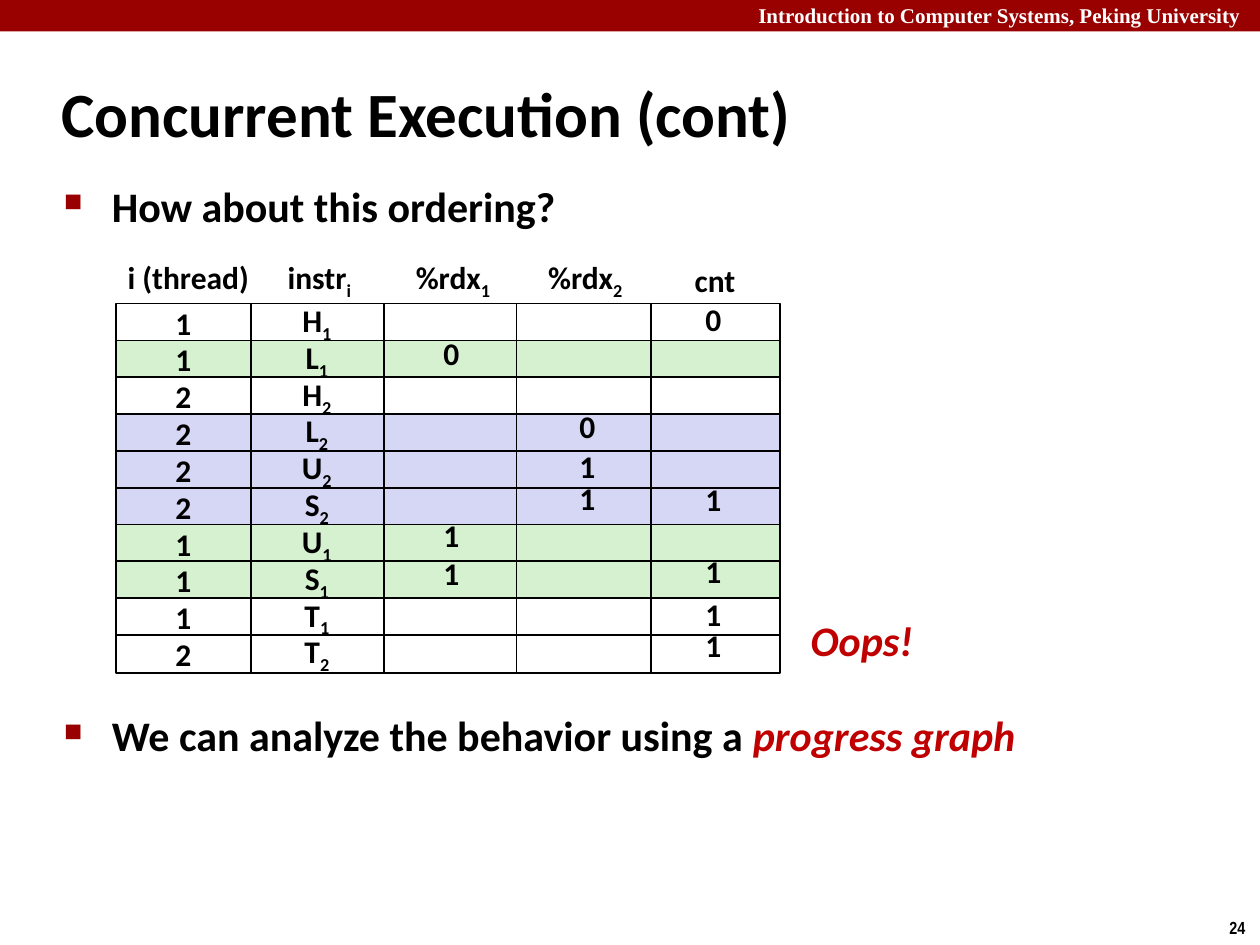
from typing import NamedTuple

import pptx
import pptx.dml.color
import pptx.enum.shapes
import pptx.enum.text
import pptx.oxml
import pptx.oxml.ns
import pptx.util
from pptx.util import Inches

ANCHOR = pptx.enum.text.MSO_ANCHOR
ALIGN = pptx.enum.text.PP_ALIGN
RECTANGLE = pptx.enum.shapes.MSO_SHAPE.RECTANGLE
NS = pptx.oxml.ns.nsdecls("a")
BLACK, WHITE, MAROON, RED = "000000", "FFFFFF", "990000", "C00000"
GREEN, LILAC = "D5F1CF", "D6D6F5"


class Step(NamedTuple):
    thread: str
    instr: str
    fill: str = WHITE


class Label(NamedTuple):
    text: str
    left: float
    top: float
    width: float


STEPS = [
    Step("1", "H_1"),
    Step("1", "L_1", GREEN),
    Step("2", "H_2"),
    Step("2", "L_2", LILAC),
    Step("2", "U_2", LILAC),
    Step("2", "S_2", LILAC),
    Step("1", "U_1", GREEN),
    Step("1", "S_1", GREEN),
    Step("1", "T_1"),
    Step("2", "T_2"),
]
COLUMNS = {"instr": 1.98, "thread": 0.92, "rdx1": 3.05, "cnt": 5.12, "rdx2": 4.1}
GRID_TOP, ROW_PITCH = 2.41, 2.63 / 9
CELL_WIDTH, CELL_HEIGHT = 1.07, 0.3
HEADERS = [
    Label("i (thread)", 0.91, 2, 1.17),
    Label("instr_i", 2.18, 2.02, 0.71),
    Label("%rdx_1", 3.19, 2.02, 0.81),
    Label("%rdx_2", 4.24, 2.02, 0.81),
    Label("cnt", 5.41, 2.02, 0.53),
]
VALUES = {
    3.42: [("0", 2.6), ("1", 4.05), ("1", 4.35)],
    4.5: [("0", 3.18), ("1", 3.5), ("1", 3.75)],
    5.5: [("0", 2.33), ("1", 3.76), ("1", 4.33), ("1", 4.67), ("1", 4.92)],
}


def rgb(color: str) -> pptx.dml.color.RGBColor:
    return pptx.dml.color.RGBColor.from_string(color)


def write(p, text: str, *, size: float = 18, color: str = BLACK, font: str = "Calibri",
          italic: bool = False, align=None) -> None:
    if align is not None:
        p.alignment = align
    for i, part in enumerate(text.split("_")):
        r = p.add_run()
        r.text = part
        r.font.name = font
        r.font.size = pptx.util.Pt(size)
        r.font.bold = True
        r.font.italic = italic
        r.font.color.rgb = rgb(color)
        if i:
            r.font._element.set("baseline", "-25000")


def add_box(s, left: float, top: float, width: float, height: float,
            wrap: bool = True, anchor=ANCHOR.TOP):
    tf = s.shapes.add_textbox(Inches(left), Inches(top), Inches(width), Inches(height)).text_frame
    tf.word_wrap = wrap
    tf.vertical_anchor = anchor
    return tf


def add_rect(s, left: float, top: float, width: float, height: float, fill: str,
             line: str | None = None):
    sp = s.shapes.add_shape(RECTANGLE, Inches(left), Inches(top), Inches(width), Inches(height))
    sp.shadow.inherit = False
    sp.fill.solid()
    sp.fill.fore_color.rgb = rgb(fill)
    if line:
        sp.line.color.rgb = rgb(line)
        sp.line.width = pptx.util.Pt(1)
    else:
        sp.line.fill.background()
    return sp


def add_bullet(p) -> None:
    pPr = p._p.get_or_add_pPr()
    pPr.set("marL", str(Inches(0.38)))
    pPr.set("indent", str(-Inches(0.38)))
    for xml in (f'<a:buClr {NS}><a:srgbClr val="{MAROON}"/></a:buClr>',
                f'<a:buSzPct {NS} val="60000"/>',
                f'<a:buFont {NS} typeface="Wingdings" pitchFamily="2" charset="2"/>',
                f'<a:buChar {NS} char="n"/>'):
        pPr.append(pptx.oxml.parse_xml(xml))


def add_grid(s) -> None:
    for column, left in COLUMNS.items():
        for i, step in enumerate(STEPS):
            cell = add_rect(s, left, GRID_TOP + i * ROW_PITCH, CELL_WIDTH, CELL_HEIGHT,
                            step.fill, BLACK)
            text = step._asdict().get(column)
            if text:
                cell.text_frame.vertical_anchor = ANCHOR.MIDDLE
                write(cell.text_frame.paragraphs[0], text, align=ALIGN.CENTER)


prs = pptx.Presentation()
prs.slide_width, prs.slide_height = Inches(10), Inches(7.5)
s = prs.slides.add_slide(prs.slide_layouts[6])

add_rect(s, 0, 0, 10, 0.25, MAROON)
course = add_box(s, 5.92, -0.03, 4.15, 0.3)
write(course.paragraphs[0], "Introduction to Computer Systems, Peking University",
      size=12, color=WHITE, font="Times New Roman")

number = add_box(s, 9.66, 7.23, 0.34, 0.27, wrap=False)
write(number.paragraphs[0], "24", size=10, font="Arial Narrow")

title = add_box(s, 0.39, 0.48, 8.3, 0.83, anchor=ANCHOR.MIDDLE)
write(title.paragraphs[0], "Concurrent Execution (cont)", size=36)

body = add_box(s, 0.41, 1.38, 8.64, 5.44)
question = body.paragraphs[0]
add_bullet(question)
write(question, "How about this ordering?", size=24)
analysis = body.add_paragraph()
analysis.space_before = pptx.util.Pt(274)
add_bullet(analysis)
write(analysis, "We can analyze the behavior using a ", size=24)
write(analysis, "progress graph", size=24, color=RED, italic=True)

add_grid(s)
for header in HEADERS:
    tf = add_box(s, header.left, header.top, header.width, 0.4, wrap=False, anchor=ANCHOR.MIDDLE)
    write(tf.paragraphs[0], header.text, align=ALIGN.CENTER)
for left, entries in VALUES.items():
    for text, top in entries:
        write(add_box(s, left, top, 0.33, 0.4, wrap=False).paragraphs[0], text)

oops = add_box(s, 6.33, 4.83, 1.02, 0.5, wrap=False, anchor=ANCHOR.MIDDLE)
write(oops.paragraphs[0], "Oops!", size=24, color=RED, italic=True, align=ALIGN.CENTER)

prs.save("out.pptx")
